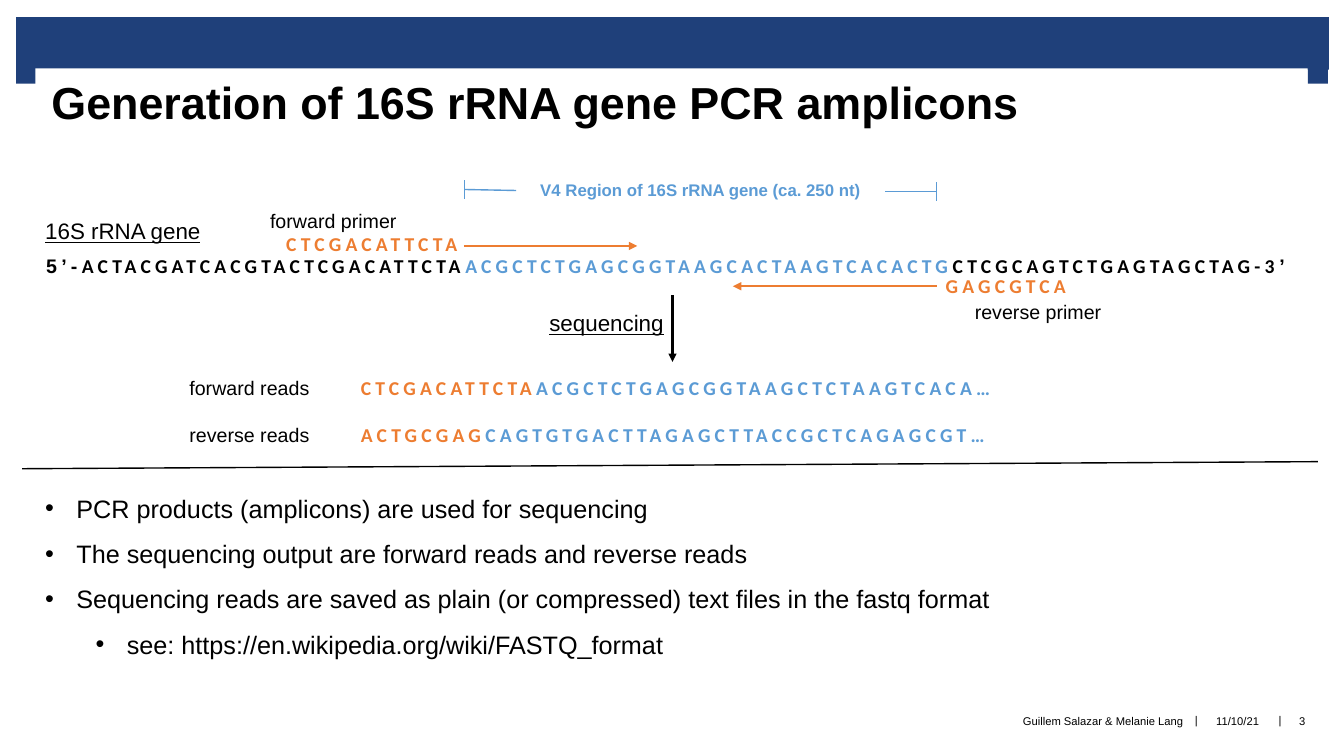
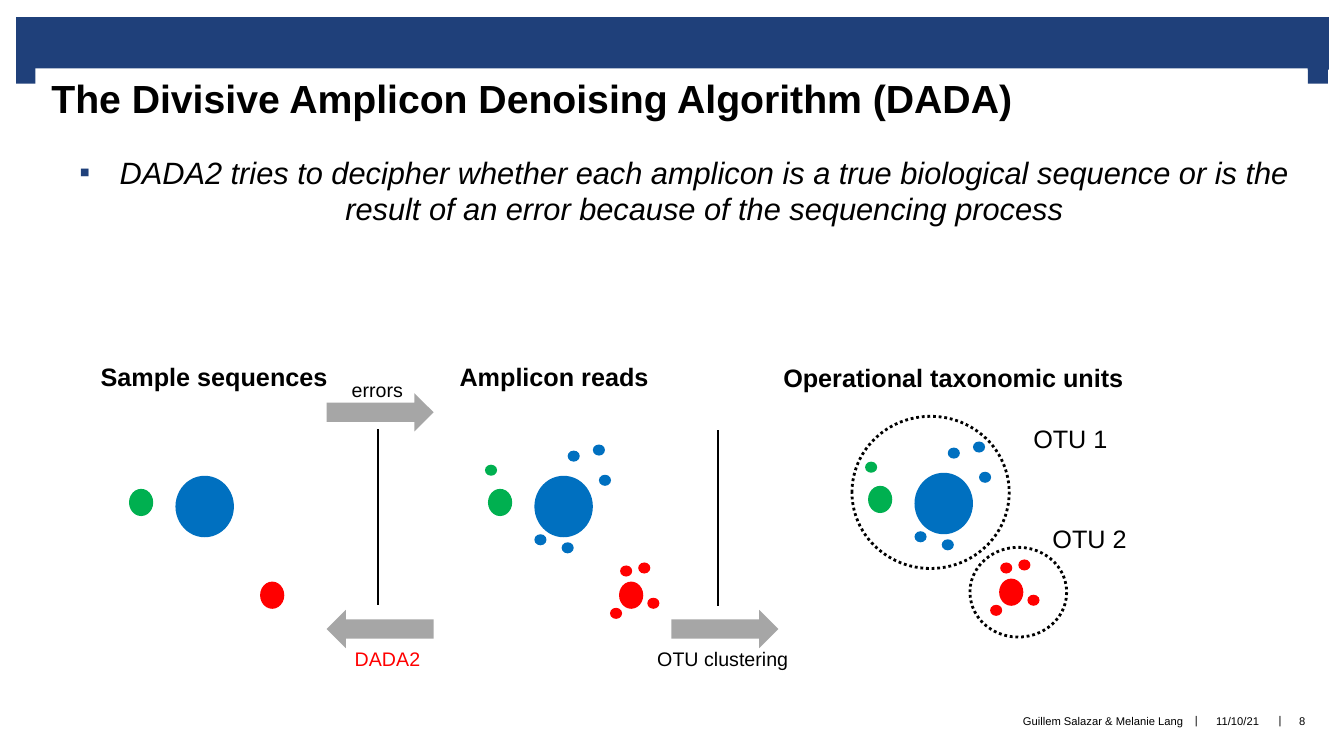
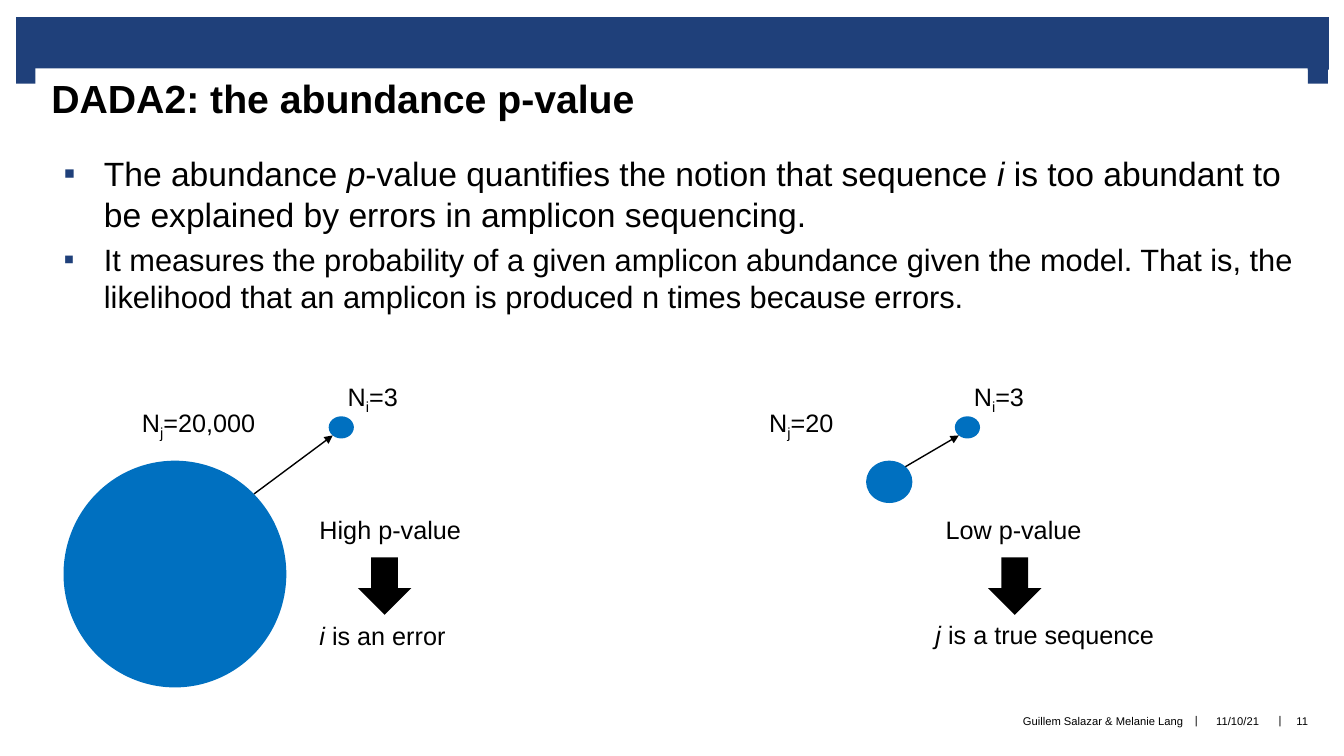
from lxml import etree
from pptx import Presentation
from pptx.dml.color import RGBColor
from pptx.enum.dml import MSO_LINE
from pptx.enum.shapes import MSO_CONNECTOR, MSO_SHAPE
from pptx.enum.text import MSO_ANCHOR, MSO_AUTO_SIZE, PP_ALIGN
from pptx.oxml.ns import qn
from pptx.util import Pt

PX = 9144  # 100 px to the inch
STRAIGHT = MSO_CONNECTOR.STRAIGHT
RECT, OVAL = MSO_SHAPE.RECTANGLE, MSO_SHAPE.OVAL
RIGHT_ARROW, DOWN_ARROW = MSO_SHAPE.RIGHT_ARROW, MSO_SHAPE.DOWN_ARROW
DOTTED = MSO_LINE.ROUND_DOT
LEFT, CENTER, RIGHT = PP_ALIGN.LEFT, PP_ALIGN.CENTER, PP_ALIGN.RIGHT
TOP, MIDDLE = MSO_ANCHOR.TOP, MSO_ANCHOR.MIDDLE
FIT, FIXED = MSO_AUTO_SIZE.SHAPE_TO_FIT_TEXT, MSO_AUTO_SIZE.NONE

NAVY, BLACK, WHITE, GRAY = "1F407A", "000000", "FFFFFF", "A6A6A6"
SKY, ORANGE = "5B9BD5", "ED7D31"
BLUE, GREEN, RED = "0070C0", "00B050", "FF0000"

# Shared content
AUTHORS, DATE = "Guillem Salazar & Melanie Lang", "11/10/21"
BANDS = [(16, 17, 1302, 52), (16, 65, 20, 18), (1297, 65, 20, 18)]
SEPARATORS = [1179, 1262]
TITLE_BOX = (35, 68, 1262, 67)
BODY_BOX = (48, 152, 1262, 538)
BODY_FORMAT = dict(wrap=True, fit=FIXED, margins=(15, 0, 16, 0), before=5,
                   bullet="▪", bullet_color=NAVY, hang=40)

# Slide 1 content: text, box, format
DNA = dict(size=14, font="Calibri", color=ORANGE, bold=True, spacing=3)
NOTE = dict(size=14, wrap=True)
STEP = dict(size=16, underline=True, wrap=True)
AMPLICON_LABELS = [
    ([("5’-", dict(font="Arial")), "ACTACGATCACGTACTCGACATTCTA",
      ("ACGCTCTGAGCGGTAAGCACTAAGTCACACTG", dict(color=SKY)),
      "CTCGCAGTCTGAGTAGCTAG-3", ("’", dict(font="Arial"))],
     (36, 247, 1258, 34), dict(DNA, color=BLACK)),
    ("16S rRNA gene", (35, 211, 272, 37), STEP),
    ("CTCGACATTCTA", (274, 225, 195, 34), DNA),
    ("GAGCGTCA", (928, 267, 151, 34), dict(DNA, wrap=True)),
    ("forward primer", (258, 202, 180, 34), NOTE),
    ("reverse primer", (957, 293, 180, 34), NOTE),
    (["CTCGACATTCTA", ("ACGCTCTGAGCGGTAAGCTCTAAGTCACA…", dict(color=SKY))],
     (348, 368, 682, 34), dict(DNA, wrap=True)),
    ("forward reads", (178, 368, 233, 34), NOTE),
    ("reverse reads", (178, 415, 233, 34), NOTE),
    ("V4 Region of 16S rRNA gene (ca. 250 nt)", (526, 173, 443, 30),
     dict(size=12, color=SKY, bold=True, wrap=True)),
    (["ACTGCGAG", ("CAGTGTGACTTAGAGCTTACCGCTCAGAGCGT…", dict(color=SKY))],
     (348, 415, 646, 34), DNA),
    ("sequencing", (535, 302, 272, 37), STEP),
]
# start, end, color, width, arrowhead
AMPLICON_LINES = [
    ((460, 244), (632, 244), ORANGE, 1.5, True),
    ((929, 284), (727, 284), ORANGE, 1.5, True),
    ((667, 293), (667, 359), BLACK, 1.5, True),
    ((929, 181), (929, 199), SKY, 1, False),
    ((929, 190), (878, 190), SKY, 1, False),
    ((461, 179), (461, 197), SKY, 1, False),
    ((461, 188), (512, 189), SKY, 1, False),
    ((22, 465), (1307, 458), BLACK, 1, False),
]
AMPLICON_POINTS = [
    "PCR products (amplicons) are used for sequencing",
    "The sequencing output are forward reads and reverse reads",
    "Sequencing reads are saved as plain (or compressed) text files in the fastq format",
    "see: https://en.wikipedia.org/wiki/FASTQ_format",
]

# Slide 2 content
DADA_POINT = ("DADA2 tries to decipher whether each amplicon is a true biological "
              "sequence or is the result of an error because of the sequencing process")
# Offsets inside one cluster group: x, y, width, height, color
TRUE_SEQUENCES = [(0, 13, 24, 27, GREEN), (130, 105, 24, 27, RED), (46, 0, 58, 61, BLUE)]
ERROR_READS = {
    GREEN: [(-3, -11)],
    BLUE: [(79, -25), (104, -31), (110, -1), (73, 66), (46, 58)],
    RED: [(131, 89), (158, 121), (149, 86), (121, 131)],
}
# Origin of the group, whether errors are present
CLUSTER_GROUPS = [((128, 472), False), ((484, 472), True), ((861, 469), True)]
OTU_RINGS = [(845, 413, 156, 151), (962, 543, 96, 89)]
STAGE_DIVIDERS = [(375, 426), (712, 427)]
STAGE_ARROWS = [(324, 390, 0), (324, 605, 180), (666, 605, 0)]
HEADING, ACTION = dict(size=18, bold=True), dict(size=14)
DADA_LABELS = [
    ("OTU 1", (1015, 415, 95, 40), {}),
    ("OTU 2", (1034, 514, 95, 40), {}),
    ("Sample sequences", (90, 354, 247, 40), HEADING),
    ("Amplicon reads", (446, 354, 210, 40), HEADING),
    ("Operational taxonomic units", (767, 355, 361, 40), HEADING),
    ("errors", (339, 370, 71, 34), ACTION),
    ("DADA2", (342, 637, 86, 34), dict(ACTION, color=RED)),
    ("OTU clustering", (642, 637, 151, 34), ACTION),
]

# Slide 3 content
ITALIC, SUB = dict(italic=True), dict(subscript=True)
PVALUE_POINTS = [
    ["The abundance ", ("p", ITALIC), "-value quantifies the notion that sequence ",
     ("i", ITALIC), " is too abundant to be explained by errors in amplicon sequencing."],
    [("It measures the probability of a given amplicon abundance given the model. "
      "That is, the likelihood that an amplicon is produced n times because errors.",
      dict(size=22))],
]
PVALUE_CASES = [
    dict(child_x=326, parent=(63, 457, 221, 225), count="=20,000", count_box=(131, 399, 134, 40),
         arrow=((252, 490), (330, 432)), verdict="High p-value", verdict_w=162, down_x=355,
         outcome=("i", " is an error"), outcome_box=(307, 610, 146, 40)),
    dict(child_x=947, parent=(859, 457, 46, 42), count="=20", count_box=(753, 399, 85, 40),
         arrow=((898, 463), (951, 432)), verdict="Low p-value", verdict_w=156, down_x=980,
         outcome=("j", " is a true sequence"), outcome_box=(918, 609, 239, 40)),
]


# Helpers
def rgb(code):
    return RGBColor.from_string(code)


def emu(lengths):
    return [n * PX for n in lengths]


def add_shape(slide, kind, box, fill=None, line=None, rotation=0):
    shape = slide.shapes.add_shape(kind, *emu(box))
    shape.shadow.inherit = False
    shape.rotation = rotation
    if fill:
        shape.fill.solid()
        shape.fill.fore_color.rgb = rgb(fill)
    else:
        shape.fill.background()
    if line:
        shape.line.color.rgb = rgb(line)
        shape.line.width = Pt(2)
        shape.line.dash_style = DOTTED
    else:
        shape.line.fill.background()
    return shape


def add_line(slide, start, end, color=BLACK, width=1, arrowhead=False):
    line = slide.shapes.add_connector(STRAIGHT, *emu(start + end))
    line.line.color.rgb = rgb(color)
    line.line.width = Pt(width)
    properties = line._element.spPr
    if arrowhead:
        etree.SubElement(properties.find(qn("a:ln")), qn("a:tailEnd"), type="triangle")
    etree.SubElement(properties, qn("a:effectLst"))


def add_bullet(paragraph, mark, color, left, hang):
    properties = paragraph._p.get_or_add_pPr()
    properties.set("marL", str(left * PX))
    properties.set("indent", str(-hang * PX))
    tint = etree.SubElement(properties, qn("a:buClr"))
    etree.SubElement(tint, qn("a:srgbClr"), val=color)
    etree.SubElement(properties, qn("a:buFont"), typeface="Arial")
    etree.SubElement(properties, qn("a:buChar"), char=mark)


def add_run(paragraph, text, size, font, color, bold=False, italic=False,
            underline=False, spacing=0, subscript=False):
    run = paragraph.add_run()
    run.text = text
    run.font.size = Pt(size)
    run.font.name = font
    run.font.color.rgb = rgb(color)
    run.font.bold, run.font.italic, run.font.underline = bold, italic, underline
    properties = run._r.get_or_add_rPr()
    if spacing:
        properties.set("spc", str(spacing * 100))
    if subscript:
        properties.set("baseline", "-25000")


def add_text(slide, paragraphs, box, size=18, font="Arial", color=BLACK, wrap=False, fit=FIT,
             margins=(10, 5, 10, 5), align=LEFT, anchor=TOP, fill=None, before=0,
             line_spacing=None, bullet=None, bullet_color=BLACK, hang=0, sublevels=(), **style):
    """Each paragraph is a string or a list of runs; a run is a string or (string, changes)."""
    holder = slide.shapes.add_textbox(*emu(box))
    if fill:
        holder.fill.solid()
        holder.fill.fore_color.rgb = rgb(fill)
    frame = holder.text_frame
    frame.word_wrap, frame.auto_size, frame.vertical_anchor = wrap, fit, anchor
    (frame.margin_left, frame.margin_top,
     frame.margin_right, frame.margin_bottom) = emu(margins)
    base = dict(size=size, font=font, color=color, **style)
    for i, runs in enumerate(paragraphs):
        paragraph = frame.add_paragraph() if i else frame.paragraphs[0]
        if bullet:
            indent = 50 if i in sublevels else 0
            add_bullet(paragraph, bullet, bullet_color, hang + indent, hang)
        paragraph.level = 1 if i in sublevels else 0
        paragraph.alignment = align
        if line_spacing:
            paragraph.line_spacing = line_spacing
        if i and before:
            paragraph.space_before = Pt(before)
        for run in [runs] if isinstance(runs, str) else runs:
            text, changes = (run, {}) if isinstance(run, str) else run
            add_run(paragraph, text, **{**base, **changes})


def new_slide(deck, title, number, title_size=28):
    """Blank slide with the shared bands, title and footer."""
    slide = deck.slides.add_slide(deck.slide_layouts[6])
    for band in BANDS:
        add_shape(slide, RECT, band, NAVY)
    add_text(slide, [title], TITLE_BOX, size=title_size, bold=True, fill=WHITE,
             wrap=True, fit=FIXED, margins=(16, 6, 16, 0))
    footer = dict(size=8, wrap=True, fit=FIXED, anchor=MIDDLE, margins=(0, 0, 0, 0))
    for x in SEPARATORS:
        add_text(slide, ["|"], (x, 689, 15, 51), align=CENTER, **footer)
    add_text(slide, [AUTHORS], (667, 690, 507, 50), align=RIGHT, **footer)
    add_text(slide, [DATE], (1194, 690, 67, 51), align=CENTER, **footer)
    add_text(slide, [str(number)], (1272, 690, 39, 51), align=CENTER, **footer)
    return slide


# Slides
def build_amplicons(deck):
    slide = new_slide(deck, "Generation of 16S rRNA gene PCR amplicons", 3, title_size=32)
    add_text(slide, AMPLICON_POINTS, (35, 469, 966, 237), line_spacing=1.5,
             bullet="•", hang=31, sublevels=(3,))
    for text, box, style in AMPLICON_LABELS:
        add_text(slide, [text], box, **style)
    for line in AMPLICON_LINES:
        add_line(slide, *line)


def build_dada(deck):
    slide = new_slide(deck, "The Divisive Amplicon Denoising Algorithm (DADA)", 8)
    add_text(slide, [DADA_POINT], BODY_BOX, size=22, italic=True, align=CENTER, **BODY_FORMAT)
    for (left, top), has_errors in CLUSTER_GROUPS:
        for x, y, w, h, color in TRUE_SEQUENCES:
            add_shape(slide, OVAL, (left + x, top + y, w, h), color)
        if has_errors:
            for color, places in ERROR_READS.items():
                for x, y in places:
                    add_shape(slide, OVAL, (left + x, top + y, 12, 11), color)
    for ring in OTU_RINGS:
        add_shape(slide, OVAL, ring, line=BLACK)
    for x, y in STAGE_DIVIDERS:
        add_line(slide, (x, y), (x, y + 174))
    for x, y, turn in STAGE_ARROWS:
        add_shape(slide, RIGHT_ARROW, (x, y, 106, 38), GRAY, rotation=turn)
    for text, box, style in DADA_LABELS:
        add_text(slide, [text], box, **style)


def build_pvalue(deck):
    slide = new_slide(deck, "DADA2: the abundance p-value", 11)
    add_text(slide, PVALUE_POINTS, BODY_BOX, size=24, **BODY_FORMAT)
    for case in PVALUE_CASES:
        x = case["child_x"]
        add_shape(slide, OVAL, case["parent"], BLUE)
        add_shape(slide, OVAL, (x, 413, 25, 22), BLUE)
        add_line(slide, *case["arrow"], arrowhead=True)
        add_shape(slide, DOWN_ARROW, (case["down_x"], 553, 53, 57), BLACK)
        symbol, outcome = case["outcome"]
        add_text(slide, [["N", ("j", SUB), case["count"]]], case["count_box"])
        add_text(slide, [["N", ("i", SUB), "=3"]], (x + 9, 373, 71, 40))
        add_text(slide, [case["verdict"]], (x - 19, 505, case["verdict_w"], 40))
        add_text(slide, [[(symbol, ITALIC), outcome]], case["outcome_box"])


def main():
    deck = Presentation()
    deck.slide_width, deck.slide_height = emu((1333, 750))
    build_amplicons(deck)
    build_dada(deck)
    build_pvalue(deck)
    deck.save("out.pptx")


if __name__ == "__main__":
    main()
